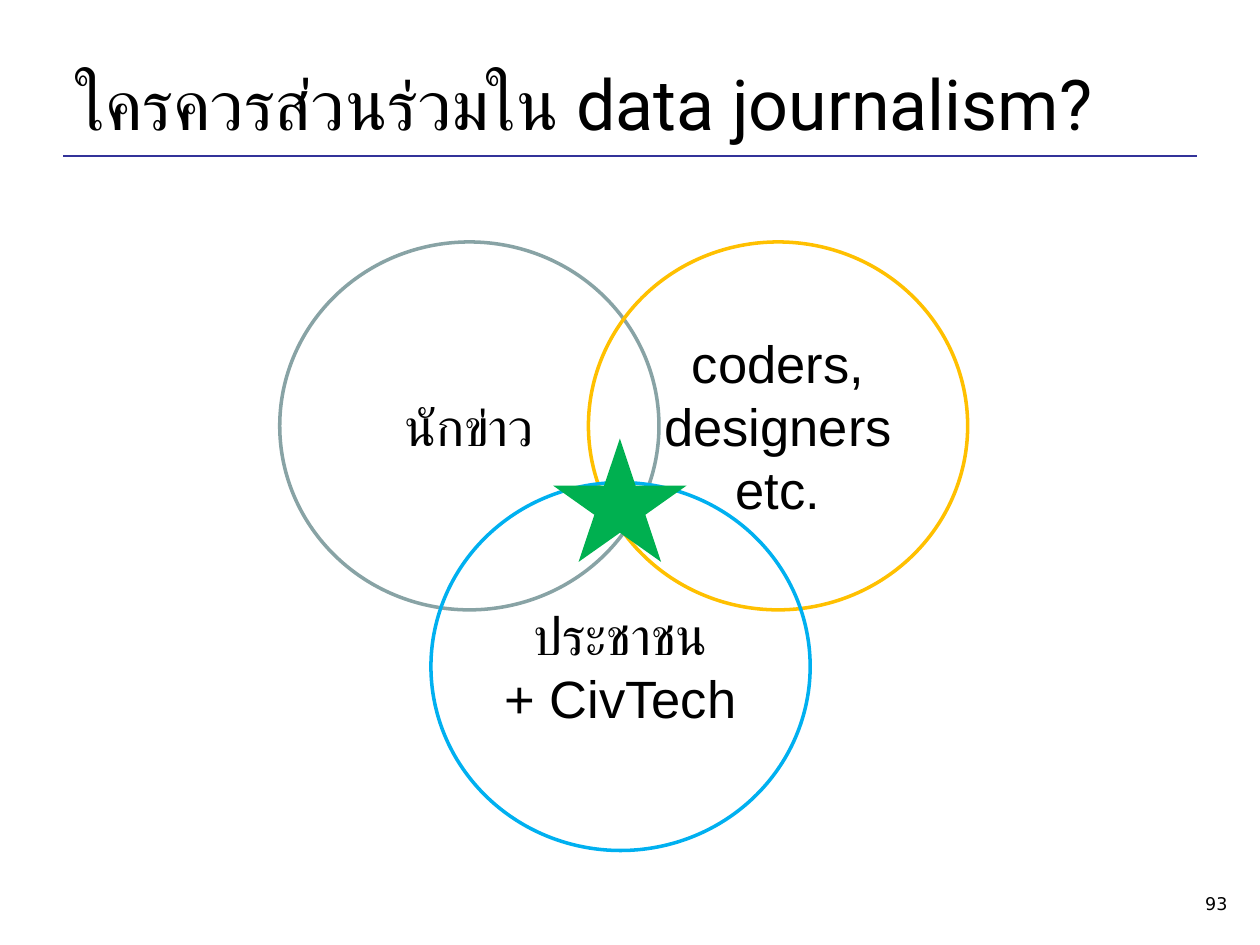
from dataclasses import dataclass

from lxml import etree
from pptx import Presentation
from pptx import util as u
from pptx.dml.color import RGBColor
from pptx.enum import shapes, text
from pptx.oxml.ns import qn

BLACK = RGBColor(0x00, 0x00, 0x00)
NAVY = RGBColor(0x33, 0x33, 0x99)
GRAY = RGBColor(0x88, 0xA3, 0xA5)
GOLD = RGBColor(0xFF, 0xC0, 0x00)
BLUE = RGBColor(0x00, 0xB0, 0xF0)
GREEN = RGBColor(0x00, 0xB0, 0x50)

WIDE, HIGH = 10, 7.5
RING_W, RING_H = 3.01, 2.92
TOP, LOW = 1.92, 3.83


@dataclass
class Ring:
    left: float
    top: float
    color: RGBColor
    lines: list[str]


RINGS = [
    Ring(2.22, TOP, GRAY, ["นักข่าว"]),
    Ring(4.67, TOP, GOLD, ["coders, designers", "etc."]),
    Ring(3.42, LOW, BLUE, ["ประชาชน", "+ CivTech"]),
]


def box(left: float, top: float, width: float, height: float) -> list[int]:
    return [u.Inches(n) for n in (left, top, width, height)]


def write(shape, lines: list[str], *, size: float, font: str = "Arial",
          align=text.PP_ALIGN.CENTER) -> None:
    frame = shape.text_frame
    frame.word_wrap = True
    frame.auto_size = text.MSO_AUTO_SIZE.NONE
    frame.vertical_anchor = text.MSO_ANCHOR.MIDDLE
    frame.text = "\n".join(lines)
    for para in frame.paragraphs:
        para.alignment = align
        for run in para.runs:
            run.font.size = u.Pt(size)
            run.font.name = font
            run.font.color.rgb = BLACK


def draw_ring(slide, ring: Ring) -> None:
    oval = slide.shapes.add_shape(
        shapes.MSO_SHAPE.OVAL, *box(ring.left, ring.top, RING_W, RING_H))
    oval.shadow.inherit = False
    oval.fill.background()
    oval.line.color.rgb = ring.color
    oval.line.width = u.Pt(2)
    write(oval, ring.lines, size=30)


def draw_rule(slide) -> None:
    edge, y = 0.05 * WIDE, u.Inches(1.24)
    rule = slide.shapes.add_connector(
        shapes.MSO_CONNECTOR.STRAIGHT,
        u.Inches(edge), y, u.Inches(WIDE - edge), y)
    rule.line.color.rgb = NAVY
    rule.line.width = u.Pt(1.25)
    etree.SubElement(rule._element.spPr, qn("a:effectLst"))


def draw_star(slide) -> None:
    star = slide.shapes.add_shape(
        shapes.MSO_SHAPE.STAR_5_POINT, *box(4.39, 3.48, 1.06, 0.98))
    star.shadow.inherit = False
    star.fill.solid()
    star.fill.fore_color.rgb = GREEN
    star.line.fill.background()


def main() -> None:
    deck = Presentation()
    deck.slide_width, deck.slide_height = u.Inches(WIDE), u.Inches(HIGH)
    slide = deck.slides.add_slide(deck.slide_layouts[5])

    draw_rule(slide)
    title = slide.shapes.title
    title.left, title.top, title.width, title.height = box(0.5, 0.19, 9.5, 1.25)
    write(title, ["ใครควรส่วนร่วมใน data journalism?"], size=40,
          font="Roboto", align=text.PP_ALIGN.LEFT)

    for ring in RINGS:
        draw_ring(slide, ring)
    draw_star(slide)

    page = slide.shapes.add_textbox(*box(7.51, 6.92, 2.33, 0.5))
    write(page, ["93"], size=10, font="DejaVu Sans",
          align=text.PP_ALIGN.RIGHT)
    deck.save("out.pptx")


if __name__ == "__main__":
    main()
